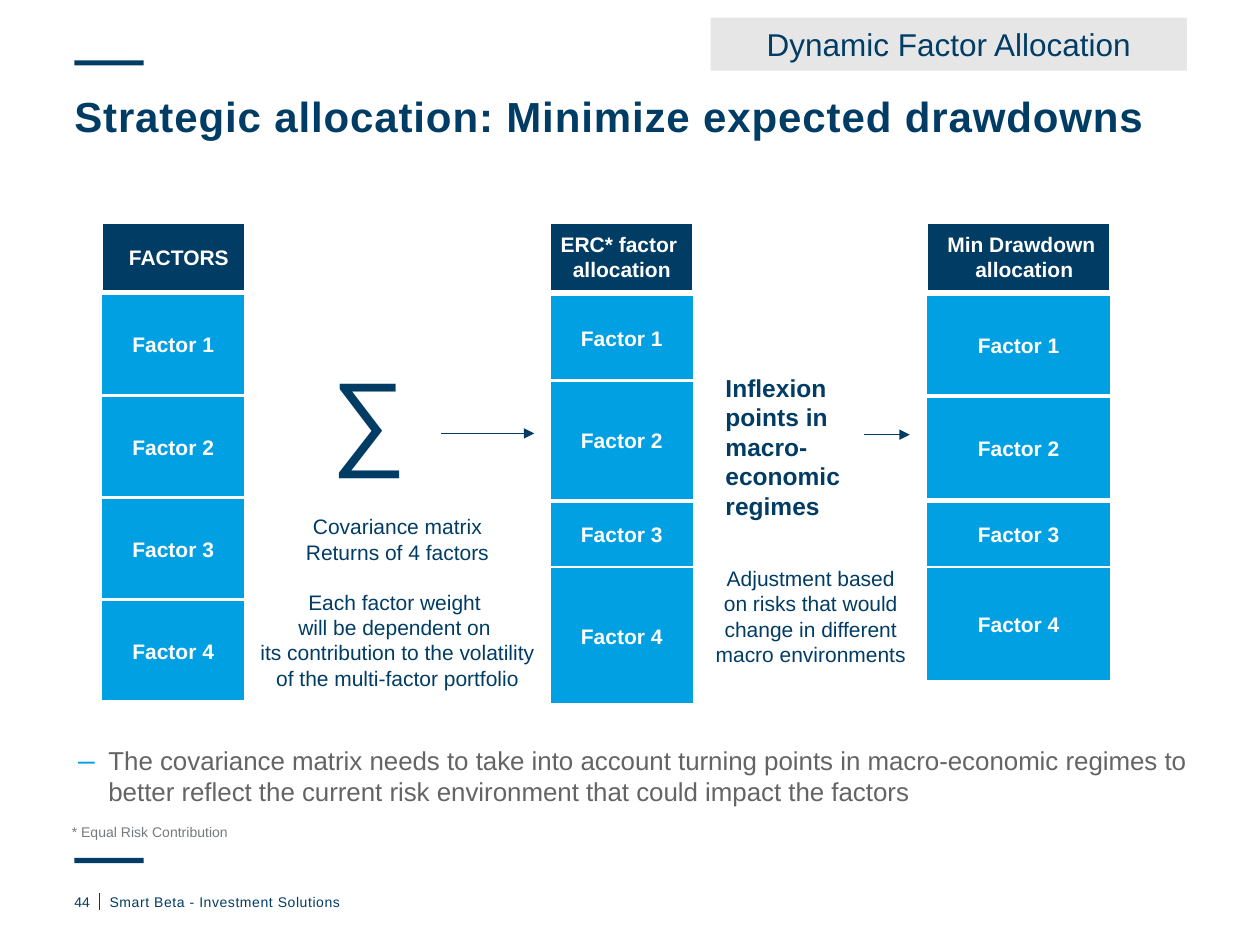
"""Build the strategic allocation slide with its three factor columns."""
import pptx
import pptx.dml.color
import pptx.enum.shapes
import pptx.enum.text
import pptx.oxml
import pptx.oxml.ns
import pptx.util
from lxml import etree

PX = 9144
NAVY = pptx.dml.color.RGBColor(0x00, 0x3C, 0x64)
BLUE = pptx.dml.color.RGBColor(0x00, 0xA0, 0xE3)
WHITE = pptx.dml.color.RGBColor(0xFF, 0xFF, 0xFF)
PALE = pptx.dml.color.RGBColor(0xE7, 0xE6, 0xE6)
GRAY = pptx.dml.color.RGBColor(0x64, 0x64, 0x64)
NOTE = pptx.dml.color.RGBColor(0x76, 0x7A, 0x7E)
LEFT = pptx.enum.text.PP_ALIGN.LEFT
CENTER = pptx.enum.text.PP_ALIGN.CENTER
TOP = pptx.enum.text.MSO_ANCHOR.TOP
MIDDLE = pptx.enum.text.MSO_ANCHOR.MIDDLE
RECT = pptx.enum.shapes.MSO_SHAPE.RECTANGLE
STRAIGHT = pptx.enum.shapes.MSO_CONNECTOR.STRAIGHT
FLAT = (0, 0, 0, 0)
INSET = (10, 5, 10, 5)


def px(*values):
    return [pptx.util.Emu(v * PX) for v in values]


def add(parent, tag, **attrs):
    child = etree.SubElement(parent, pptx.oxml.ns.qn(tag))
    for name, value in attrs.items():
        child.set(name, str(value))
    return child


class Deck:
    font = "Arial"

    def __init__(self, prs):
        self.s = prs.slides.add_slide(prs.slide_layouts[1])

    def set_text(self, sp, lines, size, color, bold=False, align=LEFT, anchor=TOP,
                 inset=INSET, spacing=None, gaps=None, bullet=None):
        tf = sp.text_frame
        tf.word_wrap = True
        tf.auto_size = pptx.enum.text.MSO_AUTO_SIZE.NONE
        tf.vertical_anchor = anchor
        tf.margin_left, tf.margin_top, tf.margin_right, tf.margin_bottom = px(*inset)
        for i, line in enumerate(lines):
            p = tf.paragraphs[0] if i == 0 else tf.add_paragraph()
            p.text = line
            p.alignment = align
            p.space_before = pptx.util.Pt((gaps or {}).get(i, 0))
            if bullet:
                self.bullet(p, *bullet)
            p.font.name, p.font.size = self.font, pptx.util.Pt(size)
            p.font.bold, p.font.color.rgb = bold, color
            if spacing:
                p.font._rPr.set("spc", str(spacing))
        return tf

    def bullet(self, p, char, color, percent, indent):
        pPr = p._p.get_or_add_pPr()
        pPr.set("marL", str(indent * PX))
        pPr.set("indent", str(-indent * PX))
        add(add(pPr, "a:buClr"), "a:srgbClr", val=color)
        add(pPr, "a:buSzPct", val=percent * 1000)
        add(pPr, "a:buFont", typeface=self.font)
        add(pPr, "a:buChar", char=char)

    def placeholder(self, idx, box, lines, size, color, **style):
        sp = self.s.placeholders[idx]
        sp.left, sp.top, sp.width, sp.height = px(*box)
        return self.set_text(sp, lines, size, color, inset=FLAT, **style)

    def text(self, box, lines, size, color, **style):
        sp = self.s.shapes.add_textbox(*px(*box))
        self.set_text(sp, lines, size, color, **style)

    def rect(self, box, fill, line=None):
        sp = self.s.shapes.add_shape(RECT, *px(*box))
        sp.shadow.inherit = False
        sp.fill.solid()
        sp.fill.fore_color.rgb = fill
        if line:
            sp.line.color.rgb, sp.line.width = WHITE, pptx.util.Pt(line)
        else:
            sp.line.fill.background()
        return sp

    def label(self, box, fill, text, size, color, line=None, **style):
        self.set_text(self.rect(box, fill, line), [text], size, color,
                      align=CENTER, anchor=MIDDLE, **style)

    def line(self, x1, y1, x2, y2, arrow=False):
        c = self.s.shapes.add_connector(STRAIGHT, *px(x1, y1, x2, y2))
        c.line.color.rgb, c.line.width = NAVY, pptx.util.Pt(0.5)
        if arrow:
            add(c.line._get_or_add_ln(), "a:tailEnd", type="triangle")
        add(c._element.spPr, "a:effectLst")

    def column(self, x, width, header, inset, factors):
        self.label((x, 176, width, 56), NAVY, header, 12, WHITE,
                   line=2.25, bold=True, inset=inset)
        for i, (top, height) in enumerate(factors, 1):
            self.label((x, top, width, height), BLUE, f"Factor {i}", 12, WHITE,
                       line=1.5, bold=True)


def main():
    prs = pptx.Presentation()
    prs.slide_width, prs.slide_height = px(1000, 750)
    d = Deck(prs)
    for y in (48, 681):
        d.rect((59, y, 55, 4), NAVY)
    d.line(79, 709, 79, 722)
    tf = d.placeholder(0, (59, 76, 882, 42),
                       ["Strategic allocation: Minimize expected drawdowns"],
                       24, NAVY, bold=True, spacing=50)
    tf.paragraphs[0].line_spacing = 0.9
    d.label((564, 14, 378, 42), PALE, "Dynamic Factor Allocation", 18, NAVY)

    d.column(80, 115, "FACTORS", (11, 6, 2, 6),
             [(233 + 81 * i, 81) for i in range(4)])
    d.column(436, 115, "ERC* factor \vallocation", (0, 6, 0, 6),
             [(234, 68), (302, 95), (398, 52), (450, 109)])
    d.column(735, 147, "Min Drawdown \vallocation", (11, 6, 2, 6),
             [(234, 80), (315, 81), (398, 52), (450, 91)])
    d.line(350, 344, 424, 344, arrow=True)
    d.line(686, 345, 722, 345, arrow=True)

    d.text((253, 274, 148, 111), ["∑"], 60, NAVY)
    d.text((195, 403, 241, 151),
           ["Covariance matrix", "Returns of 4 factors",
            "Each factor weight \vwill be dependent on \v"
            "its contribution to the volatility of the multi-factor portfolio"],
           12, NAVY, align=CENTER, gaps={2: 14.4})
    d.text((566, 291, 156, 128),
           ["Inflexion points in macro-", "economic", "regimes"],
           14, NAVY, bold=True)
    d.text((557, 444, 173, 91),
           ["Adjustment based on risks that would change in different "
            "macro environments"], 12, NAVY, align=CENTER)

    d.placeholder(1, (62, 591, 889, 44),
                  ["The covariance matrix needs to take into account turning points "
                   "in macro-economic regimes to better reflect the current risk "
                   "environment that could impact the factors"],
                  14.8, GRAY, bullet=("⎯", BLUE, 130, 24))
    d.text((57, 654, 477, 44), ["* Equal Risk Contribution"], 8, NOTE, inset=FLAT)
    d.text((59, 709, 20, 20), ["44"], 8, NAVY, inset=FLAT)
    d.text((87, 709, 570, 20), ["Smart Beta - Investment Solutions"], 8, NAVY,
           inset=FLAT, spacing=30)
    prs.save("out.pptx")


if __name__ == "__main__":
    main()
